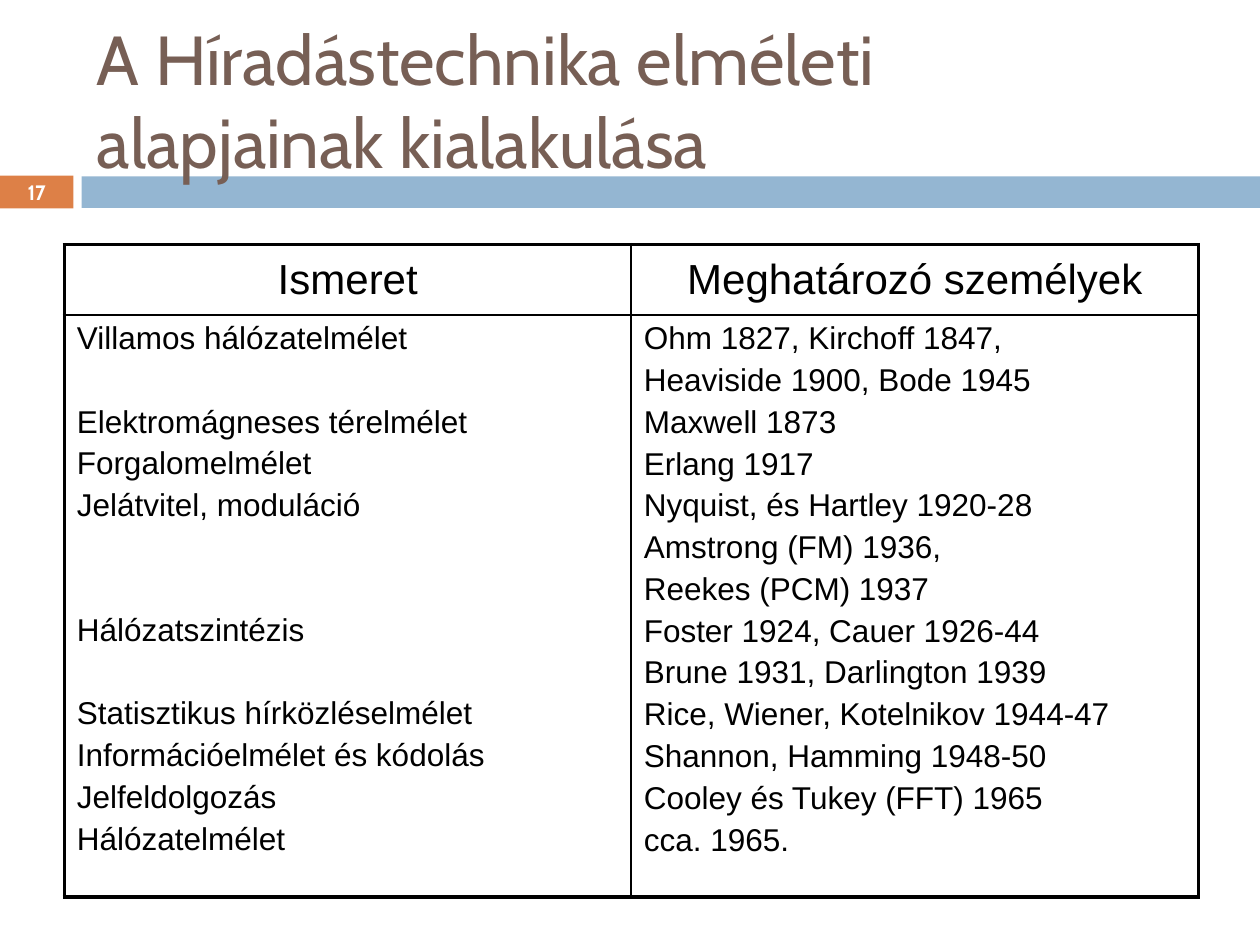
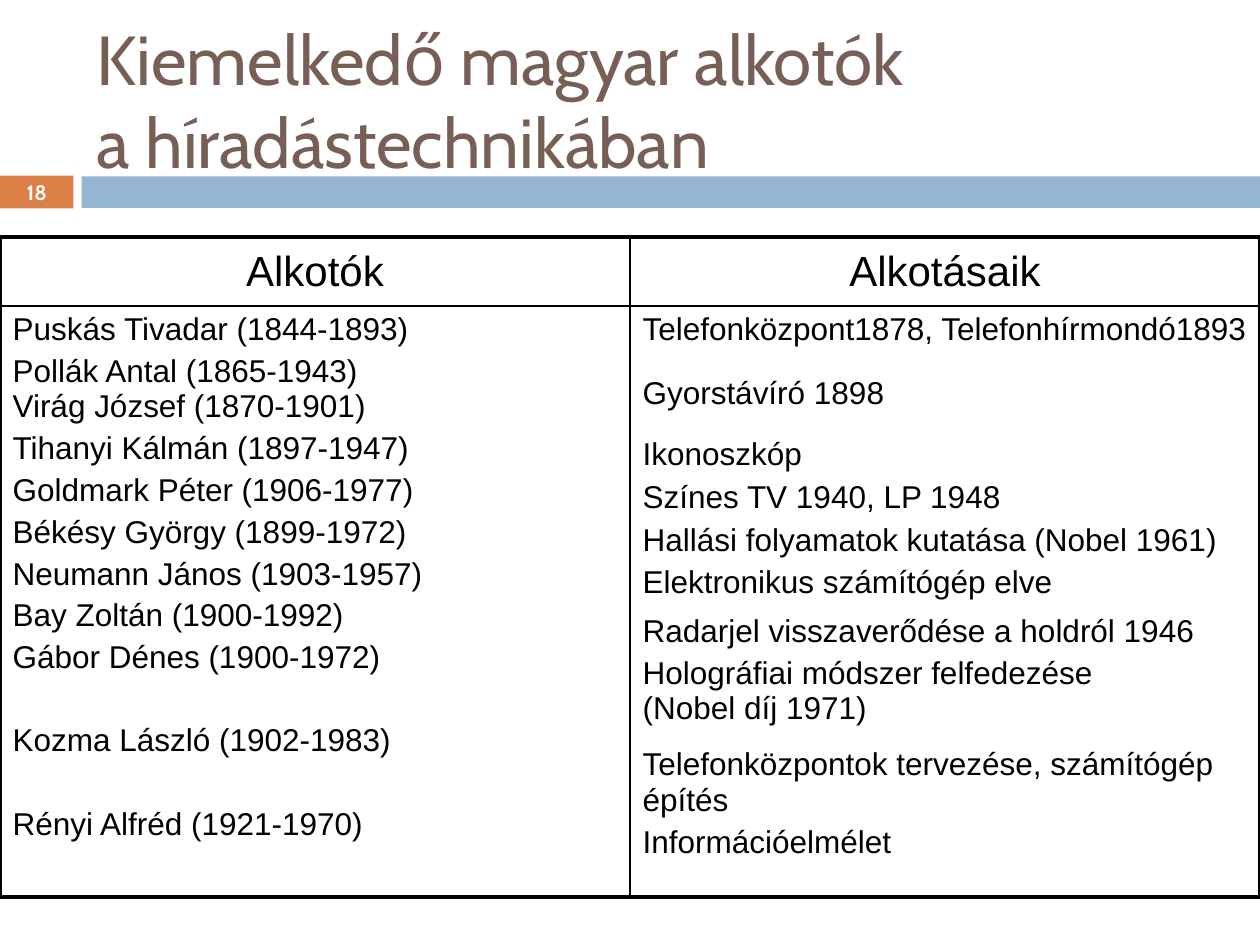
from collections import namedtuple

from lxml.etree import SubElement
from pptx import Presentation
from pptx.dml.color import RGBColor
from pptx.enum.shapes import MSO_SHAPE
from pptx.enum.text import MSO_ANCHOR, PP_ALIGN
from pptx.oxml.ns import qn
from pptx.util import Pt

Box = namedtuple("Box", "left top width height")
Line = namedtuple("Line", "text before")

ORANGE, BLUE, BROWN, BLACK, WHITE = "DD8047", "94B6D2", "775F55", "000000", "FFFFFF"
TITLE_FONT, TABLE_FONT = "Cabin", "Arial"
PAGE_WIDTH, PAGE_HEIGHT = 720, 540
TITLE_BOX = Box(48.24, 18, 642.24, 77.76)
BAND_BOX = Box(0, 100.4, PAGE_WIDTH, 18.7)
NUMBER_WIDTH, BAND_GAP = 42, 4.7
OUTER_LINE, INNER_LINE = 2.25, 1
GAP = 3.7
LINE_PITCH = 23.77


def color(value):
    """Turn a hex string into a colour."""
    return RGBColor.from_string(value)


def spaced(text, skipped=0):
    """Return a line of regular spacing that lies below some skipped lines."""
    return Line(text, round(GAP + skipped * LINE_PITCH, 2))


def style(para, font, size, shade, bold=False):
    """Set the font of a whole paragraph."""
    para.font.name = font
    para.font.size = Pt(size)
    para.font.bold = bold
    para.font.color.rgb = color(shade)


def add_bar(page, box, fill):
    """Add a plain filled rectangle."""
    bar = page.shapes.add_shape(MSO_SHAPE.RECTANGLE, *map(Pt, box))
    bar.shadow.inherit = False
    bar.fill.solid()
    bar.fill.fore_color.rgb = color(fill)
    bar.line.fill.background()
    return bar


def add_band(page, box, number):
    """Add the blue band with the page number at its left end."""
    start = NUMBER_WIDTH + BAND_GAP
    add_bar(page, Box(box.left + start, box.top + 0.4, box.width - start, 18), BLUE)
    badge = add_bar(page, box._replace(width=NUMBER_WIDTH), ORANGE)
    frame = badge.text_frame
    frame.margin_left = frame.margin_right = frame.margin_top = frame.margin_bottom = 0
    frame.vertical_anchor = MSO_ANCHOR.MIDDLE
    para = frame.paragraphs[0]
    para.text = str(number)
    para.alignment = PP_ALIGN.CENTER
    style(para, TITLE_FONT, 11.9, WHITE, bold=True)


def add_title(page, box, text):
    """Add the two-line page title."""
    frame = page.shapes.add_textbox(*map(Pt, box)).text_frame
    frame.word_wrap = True
    frame.vertical_anchor = MSO_ANCHOR.MIDDLE
    para = frame.paragraphs[0]
    para.text = text
    style(para, TITLE_FONT, 39.6, BROWN)


def set_borders(cell, widths):
    """Draw the left, right, top and bottom borders of a cell."""
    properties = cell._tc.get_or_add_tcPr()
    for side, width in zip("LRTB", widths):
        line = SubElement(properties, qn(f"a:ln{side}"), w=str(Pt(width)))
        fill = SubElement(line, qn("a:solidFill"))
        SubElement(fill, qn("a:srgbClr"), val=BLACK)


def fill_cell(cell, lines, size, alignment):
    """Write one paragraph for each line into a cell."""
    frame = cell.text_frame
    for index, line in enumerate(lines):
        para = frame.add_paragraph() if index else frame.paragraphs[0]
        para.text = line.text
        para.alignment = alignment
        para.space_before = Pt(line.before if index else 0)
        style(para, TABLE_FONT, size, BLACK)


def add_people_table(page, box, header_height, headings, columns):
    """Add a table of two headings above two lists of lines."""
    table = page.shapes.add_table(2, 2, *map(Pt, box)).table
    table.first_row = table.horz_banding = False
    for column in table.columns:
        column.width = Pt(box.width / 2)
    table.rows[0].height = Pt(header_height)
    table.rows[1].height = Pt(box.height - header_height)
    edges = (OUTER_LINE, INNER_LINE, OUTER_LINE)
    for index, (heading, lines) in enumerate(zip(headings, columns)):
        header, body = table.cell(0, index), table.cell(1, index)
        for row, cell in enumerate((header, body)):
            set_borders(cell, edges[index:index + 2] + edges[row:row + 2])
            cell.fill.background()
        header.vertical_anchor = MSO_ANCHOR.MIDDLE
        fill_cell(header, [spaced(heading)], 24, PP_ALIGN.CENTER)
        fill_cell(body, lines, 18, PP_ALIGN.LEFT)


def add_page(deck, number, title, *table_parts):
    """Add one page with its title, band and table."""
    page = deck.slides.add_slide(deck.slide_layouts[6])
    add_band(page, BAND_BOX, number)
    add_title(page, TITLE_BOX, title)
    add_people_table(page, *table_parts)


FIELDS = [
    spaced("Villamos hálózatelmélet"),
    spaced("Elektromágneses térelmélet", 1),
    spaced("Forgalomelmélet"),
    spaced("Jelátvitel, moduláció"),
    spaced("Hálózatszintézis", 2),
    spaced("Statisztikus hírközléselmélet", 1),
    spaced("Információelmélet és kódolás"),
    spaced("Jelfeldolgozás"),
    spaced("Hálózatelmélet"),
]
FOUNDERS = [spaced(text) for text in (
    "Ohm 1827, Kirchoff 1847,",
    "Heaviside 1900, Bode 1945",
    "Maxwell 1873",
    "Erlang 1917",
    "Nyquist, és Hartley 1920-28",
    "Amstrong (FM) 1936,",
    "Reekes (PCM) 1937",
    "Foster 1924, Cauer 1926-44",
    "Brune 1931, Darlington 1939",
    "Rice, Wiener, Kotelnikov 1944-47",
    "Shannon, Hamming 1948-50",
    "Cooley és Tukey (FFT) 1965",
    "cca. 1965.",
)]
INVENTORS = [
    spaced("Puskás Tivadar (1844-1893)"),
    spaced("Pollák Antal (1865-1943)"),
    Line("Virág József (1870-1901)", 0),
    spaced("Tihanyi Kálmán (1897-1947)"),
    spaced("Goldmark Péter (1906-1977)"),
    spaced("Békésy György (1899-1972)"),
    spaced("Neumann János (1903-1957)"),
    spaced("Bay Zoltán (1900-1992)"),
    spaced("Gábor Dénes (1900-1972)"),
    spaced("Kozma László (1902-1983)", 1),
    spaced("Rényi Alfréd (1921-1970)", 1),
]
INVENTIONS = [
    Line("Telefonközpont1878, Telefonhírmondó1893", 0),
    Line("Gyorstávíró 1898", 16),
    Line("Ikonoszkóp", 15),
    Line("Színes TV 1940, LP 1948", 4.3),
    Line("Hallási folyamatok kutatása (Nobel 1961)", 4.3),
    Line("Elektronikus számítógép elve", 4),
    Line("Radarjel visszaverődése a holdról 1946", 7.8),
    Line("Holográfiai módszer felfedezése\n(Nobel díj 1971)", 4),
    Line("Telefonközpontok tervezése, számítógép építés", 11.8),
    Line("Információelmélet", 4),
]


def main():
    """Build the deck and save it."""
    deck = Presentation()
    deck.slide_width, deck.slide_height = Pt(PAGE_WIDTH), Pt(PAGE_HEIGHT)
    add_page(deck, 17, "A Híradástechnika elméleti\nalapjainak kialakulása",
             Box(36.72, 139.68, 648, 352.5), 40.3,
             ("Ismeret", "Meghatározó személyek"), (FIELDS, FOUNDERS))
    add_page(deck, 18, "Kiemelkedő magyar alkotók\na híradástechnikában",
             Box(0, 135.5, PAGE_WIDTH, 359.2), 39.4,
             ("Alkotók", "Alkotásaik"), (INVENTORS, INVENTIONS))
    deck.save("out.pptx")


if __name__ == "__main__":
    main()
